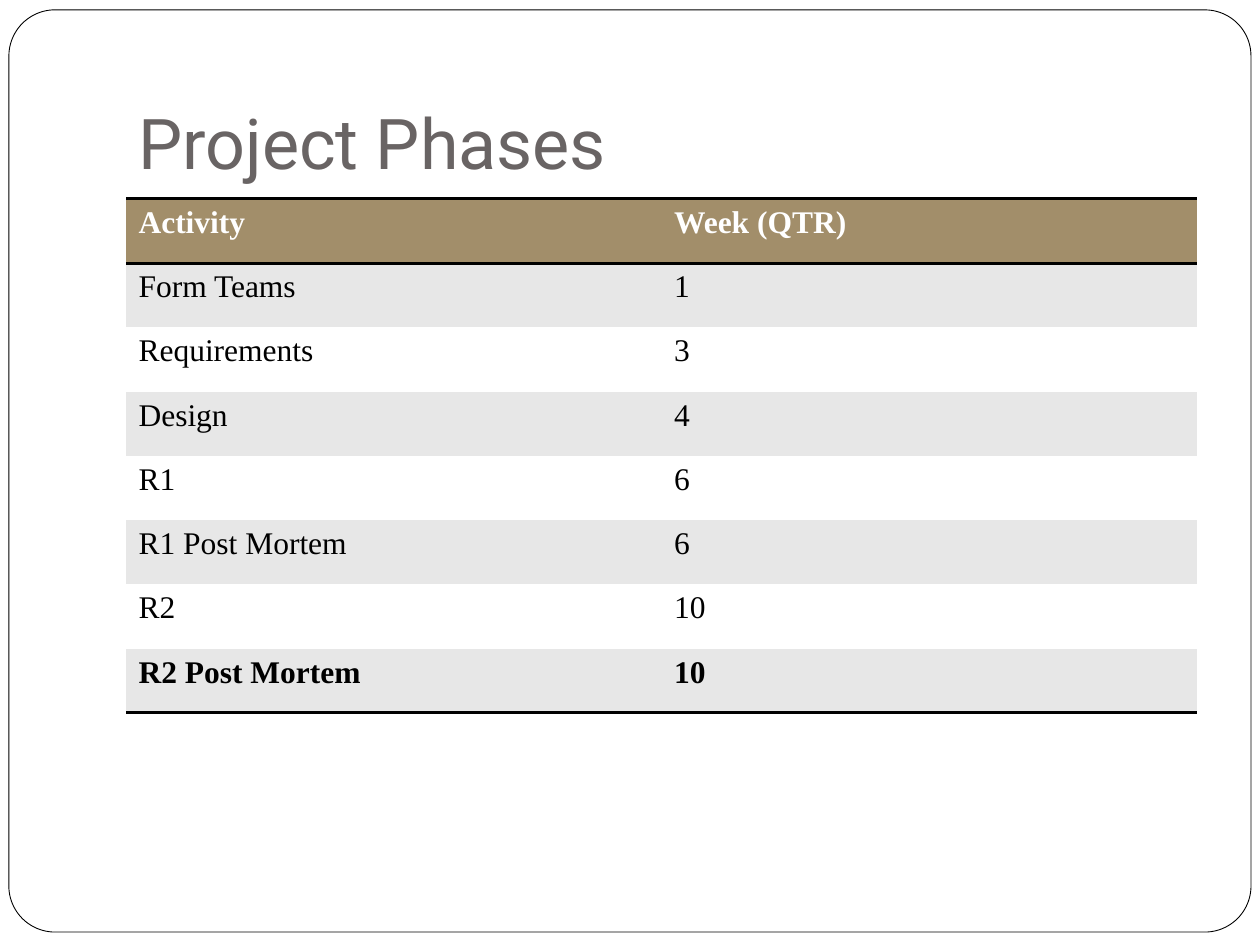
"""Build the Project Phases slide: a framed title above a schedule table."""
from lxml import etree
from pptx import Presentation
from pptx import util as u
from pptx.dml.color import RGBColor
from pptx.enum import shapes, text
from pptx.oxml import ns


def color(hex_value):
    return RGBColor.from_string(hex_value)


def add_border(cell, side, visible):
    properties = cell._tc.get_or_add_tcPr()
    line = etree.SubElement(properties, ns.qn(f"a:ln{side}"), w=str(u.Pt(2)))
    if visible:
        fill = etree.SubElement(line, ns.qn("a:solidFill"))
        etree.SubElement(fill, ns.qn("a:srgbClr"), val="000000")
    else:
        etree.SubElement(line, ns.qn("a:noFill"))


phases = [
    ("Activity", "Week (QTR)"),
    ("Form Teams", "1"),
    ("Requirements", "3"),
    ("Design", "4"),
    ("R1", "6"),
    ("R1 Post Mortem", "6"),
    ("R2", "10"),
    ("R2 Post Mortem", "10"),
]
last = len(phases) - 1

prs = Presentation()
prs.slide_width, prs.slide_height = u.Cm(25.4), u.Cm(19.05)
slide = prs.slides.add_slide(prs.slide_layouts[5])

title = slide.shapes.title
title.left, title.top, title.width, title.height = u.Cm(2.54), u.Cm(0.76), u.Cm(21.59), u.Cm(3.18)
heading = title.text_frame
heading.text = "Project Phases"
heading.word_wrap = True
heading.auto_size = text.MSO_AUTO_SIZE.NONE
heading.vertical_anchor = text.MSO_ANCHOR.BOTTOM
heading.margin_left = heading.margin_right = heading.margin_bottom = u.Cm(0.25)
heading.margin_top = u.Cm(0.13)
heading_line = heading.paragraphs[0]
heading_line.alignment = text.PP_ALIGN.LEFT
heading_line.font.size = u.Pt(40)
heading_line.font.name = "Roboto"
heading_line.font.color.rgb = color("696464")

frame = slide.shapes.add_shape(
    shapes.MSO_SHAPE.ROUNDED_RECTANGLE, u.Cm(0.18), u.Cm(0.2), u.Cm(25.04), u.Cm(18.59))
frame.adjustments[0] = 0.05
frame.shadow.inherit = False
frame.fill.solid()
frame.fill.fore_color.rgb = color("FFFFFF")
frame.line.color.rgb = color("000000")
frame.line.width = u.Pt(0.5)
title.element.addprevious(frame.element)

schedule = slide.shapes.add_table(
    len(phases), 2, u.Cm(2.54), u.Cm(4.01), u.Cm(21.59), u.Cm(10.36)).table
schedule.last_row = True

for row, phase in enumerate(phases):
    banding = "A28E6A" if row == 0 else "E7E7E7" if row % 2 else "FFFFFF"
    for column, entry in enumerate(phase):
        cell = schedule.cell(row, column)
        for side, visible in (("L", False), ("R", False),
                              ("T", row in (0, 1)), ("B", row in (0, last))):
            add_border(cell, side, visible)
        cell.fill.solid()
        cell.fill.fore_color.rgb = color(banding)
        cell.text = entry
        font = cell.text_frame.paragraphs[0].font
        font.name = "Times New Roman"
        font.size = u.Pt(18)
        font.bold = row in (0, last)
        font.color.rgb = color("000000" if row else "FFFFFF")

prs.save("out.pptx")
